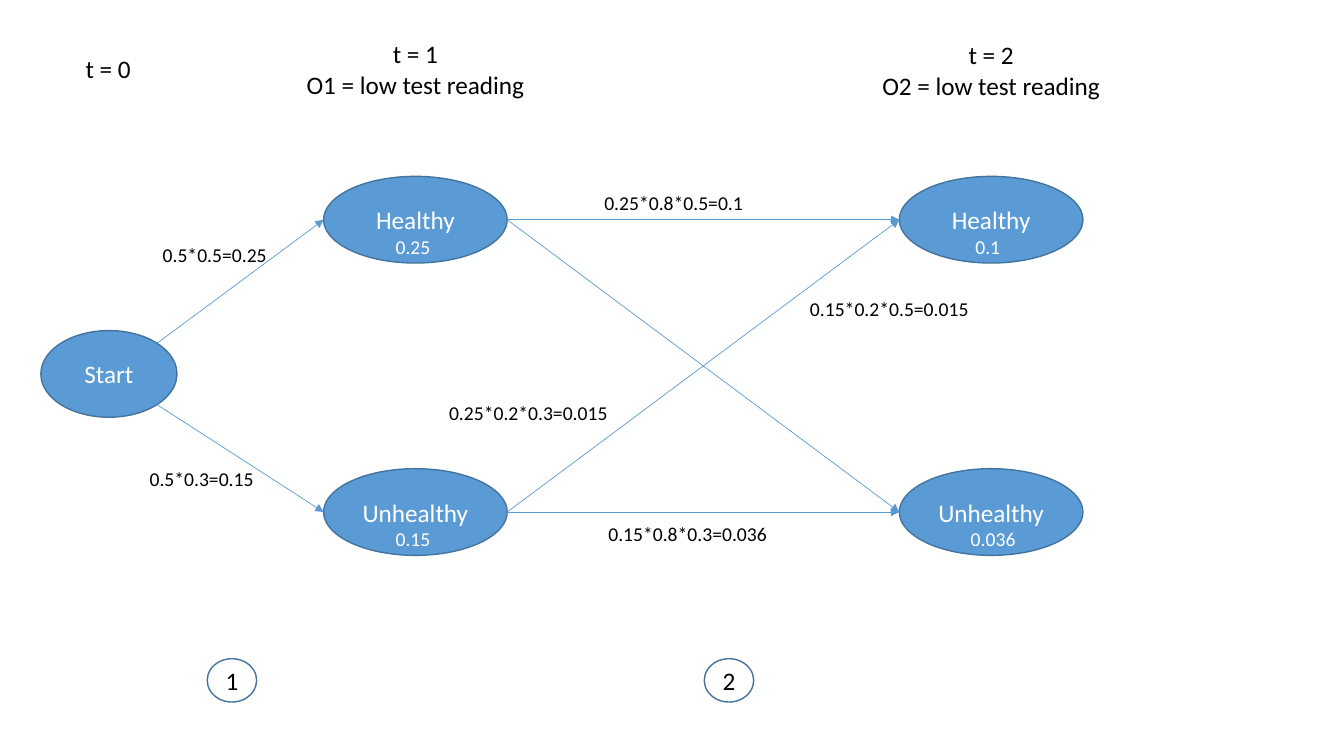
from dataclasses import dataclass
from math import sqrt

from lxml import etree
from pptx import Presentation
from pptx.dml.color import RGBColor
from pptx.enum.shapes import MSO_CONNECTOR, MSO_SHAPE
from pptx.enum.text import MSO_ANCHOR, MSO_AUTO_SIZE, PP_ALIGN
from pptx.oxml.ns import qn
from pptx.util import Inches, Pt

ELLIPSE = MSO_SHAPE.OVAL
STRAIGHT = MSO_CONNECTOR.STRAIGHT
MIDDLE = MSO_ANCHOR.MIDDLE
GROW = MSO_AUTO_SIZE.SHAPE_TO_FIT_TEXT
LEFT, CENTER = PP_ALIGN.LEFT, PP_ALIGN.CENTER
DIAGONAL = sqrt(0.5)
SITES = {2: (-1, 0), 5: (DIAGONAL, DIAGONAL), 6: (1, 0), 7: (DIAGONAL, -DIAGONAL)}


@dataclass(frozen=True)
class Theme:
    """Colours, font and sizes of the slide."""
    font: str = "Calibri"
    fill: RGBColor = RGBColor(0x5B, 0x9B, 0xD5)
    outline: RGBColor = RGBColor(0x43, 0x73, 0x9E)
    light: RGBColor = RGBColor(0xFF, 0xFF, 0xFF)
    dark: RGBColor = RGBColor(0, 0, 0)
    body: int = 18
    small: int = 14


@dataclass(frozen=True)
class Box:
    """A region in inches whose parts are placed by their centres."""
    left: float
    top: float
    width: float
    height: float

    def place(self, x, y, width, height):
        """Return the frame of a part centred at x, y within the region."""
        return [Inches(n) for n in (self.left + x - width / 2, self.top + y - height / 2, width, height)]


THEME = Theme()


def write(frame, text, size, color, align):
    """Fill a text frame with one paragraph per line."""
    frame.text = text
    for paragraph in frame.paragraphs:
        paragraph.alignment = align
        paragraph.font.name = THEME.font
        paragraph.font.size = Pt(size)
        paragraph.font.color.rgb = color


def add_ellipse(slide, frame, text, filled=True):
    """Add an outlined ellipse with centred text."""
    shape = slide.shapes.add_shape(ELLIPSE, *frame)
    shape.shadow.inherit = False
    if filled:
        shape.fill.solid()
        shape.fill.fore_color.rgb = THEME.fill
    else:
        shape.fill.background()
    shape.line.color.rgb = THEME.outline
    shape.line.width = Pt(1)
    shape.text_frame.vertical_anchor = MIDDLE
    write(shape.text_frame, text, THEME.body, THEME.light if filled else THEME.dark, CENTER)
    return shape


def add_label(slide, frame, text, size, color=THEME.dark, align=LEFT, wrap=False):
    """Add a text box that grows with its text."""
    text_frame = slide.shapes.add_textbox(*frame).text_frame
    text_frame.word_wrap = wrap
    text_frame.auto_size = GROW
    write(text_frame, text, size, color, align)


def site_point(shape, site):
    """Return the position of a connection site on an ellipse."""
    across, down = SITES[site]
    return (round(shape.left + shape.width * (1 + across) / 2),
            round(shape.top + shape.height * (1 + down) / 2))


def add_arrow(slide, source, source_site, target, target_site=2):
    """Join two ellipses with an arrow attached to their connection sites."""
    connector = slide.shapes.add_connector(
        STRAIGHT, *site_point(source, source_site), *site_point(target, target_site))
    connector.line.color.rgb = THEME.fill
    connector.line.width = Pt(0.5)
    element = connector._element
    joints = element.find(".//" + qn("p:cNvCxnSpPr"))
    for tag, shape, site in (("a:stCxn", source, source_site), ("a:endCxn", target, target_site)):
        etree.SubElement(joints, qn(tag), id=str(shape.shape_id), idx=str(site))
    etree.SubElement(element.spPr.find(qn("a:ln")), qn("a:tailEnd"), type="triangle")
    etree.SubElement(element.spPr, qn("a:effectLst"))


def add_time_headers(slide, box):
    """Name the time steps above the columns."""
    for text, x, y, width, height, align in (
            ("t = 0", 1.08, 0.68, 0.66, 0.4, LEFT),
            ("t = 1\nO1 = low test reading", 4.12, 0.69, 2.39, 0.71, CENTER),
            ("t = 2\nO2 = low test reading", 9.83, 0.7, 2.39, 0.71, CENTER)):
        add_label(slide, box.place(x, y, width, height), text, THEME.body, align=align)


def add_trellis(slide, box):
    """Draw the states, the transitions between them and their probabilities."""
    columns, rows = (4.12, 9.83), (0.68, 3.58)
    start = add_ellipse(slide, box.place(1.08, 2.21, 1.35, 0.86), "Start")
    first, second = [
        [add_ellipse(slide, box.place(x, y, 1.82, 0.86), state)
         for y, state in zip(rows, ("Healthy", "Unhealthy"))]
        for x in columns]
    for site, target in zip((7, 5), first):
        add_arrow(slide, start, site, target)
    for source in first:
        for target in second:
            add_arrow(slide, source, 6, target)
    for text, x, y, width in (
            ("0.5*0.5=0.25", 2.14, 1.03, 1.25),
            ("0.5*0.3=0.15", 2.01, 3.25, 1.25),
            ("0.25*0.8*0.5=0.1", 6.69, 0.51, 1.59),
            ("0.15*0.2*0.5=0.015", 8.83, 1.57, 1.79),
            ("0.25*0.2*0.3=0.015", 5.25, 2.6, 1.79),
            ("0.15*0.8*0.3=0.036", 6.83, 3.8, 1.79)):
        add_label(slide, box.place(x, y, width, 0.34), text, THEME.small)
    for text, column, row, shift, width in (
            ("0.25", 0, 0, 0, 0.59), ("0.15", 0, 1, 0, 0.59),
            ("0.1", 1, 0, 0.04, 0.59), ("0.036", 1, 1, 0.08, 0.76)):
        frame = box.place(columns[column] + shift, rows[row] + 0.27, width, 0.34)
        add_label(slide, frame, text, THEME.small, THEME.light, wrap=True)


def add_step_badges(slide, box):
    """Number the two steps below the trellis."""
    for text, x in (("1", 2.3), ("2", 7.23)):
        add_ellipse(slide, box.place(x, 0.75, 0.49, 0.43), text, filled=False)


def main():
    """Build and save the slide."""
    presentation = Presentation()
    presentation.slide_width, presentation.slide_height = Inches(13.33), Inches(7.5)
    slide = presentation.slides.add_slide(presentation.slide_layouts[6])
    add_time_headers(slide, Box(0, 0, 13.33, 1.5))
    add_trellis(slide, Box(0, 1.5, 13.33, 4.5))
    add_step_badges(slide, Box(0, 6, 13.33, 1.5))
    presentation.save("out.pptx")


if __name__ == "__main__":
    main()
